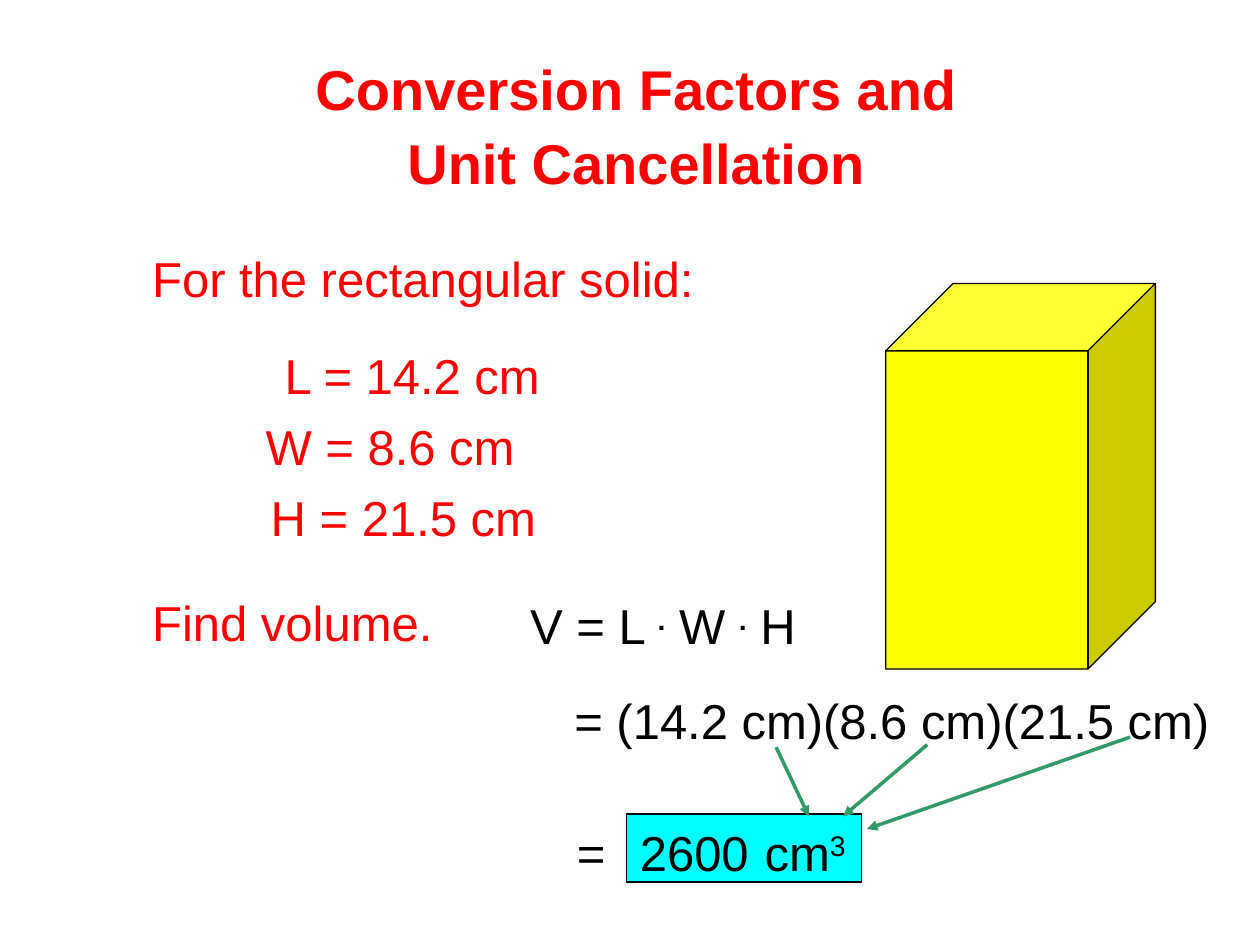
from lxml import etree
from pptx import Presentation
from pptx.dml.color import RGBColor
from pptx.enum import shapes, text
from pptx.oxml.ns import qn
from pptx.util import Inches, Pt

RED = RGBColor(0xFF, 0x00, 0x00)
BLACK = RGBColor(0x00, 0x00, 0x00)
YELLOW = RGBColor(0xFF, 0xFF, 0x00)
CYAN = RGBColor(0x00, 0xFF, 0xFF)
GREEN = RGBColor(0x33, 0x99, 0x66)


def add_text(s, box, paragraphs, color, size=28, bold=False, **fmt):
    """Each paragraph is (indent, runs); a run is (text, is_superscript)."""
    tf = s.shapes.add_textbox(*map(Inches, box)).text_frame
    tf.word_wrap = True
    for i, (indent, runs) in enumerate(paragraphs):
        p = tf.paragraphs[0] if i == 0 else tf.add_paragraph()
        p.space_before = Pt(size / 4)
        for name, value in fmt.items():
            setattr(p, name, value)
        if indent:
            p._p.get_or_add_pPr().set("marL", str(Inches(indent)))
        for words, raised in runs:
            r = p.add_run()
            r.text = words
            values = {"name": "Arial", "size": Pt(size), "bold": bold}
            for name, value in values.items():
                setattr(r.font, name, value)
            r.font.color.rgb = color
            if raised:
                r.font._element.set("baseline", "30000")
                r.font.bold = words == "."


def plain(words, indent=0):
    return indent, [(words, False)]


def add_solid(s, kind, box, fill):
    sp = s.shapes.add_shape(kind, *map(Inches, box))
    sp.shadow.inherit = False
    sp.fill.solid()
    sp.fill.fore_color.rgb = fill
    sp.line.color.rgb = BLACK
    sp.line.width = Pt(0.75)
    return sp


def add_arrow(s, start, end):
    c = s.shapes.add_connector(shapes.MSO_CONNECTOR.STRAIGHT,
                               *map(Inches, start + end))
    c.line.color.rgb = GREEN
    c.line.width = Pt(2)
    etree.SubElement(c.line._get_or_add_ln(), qn("a:tailEnd"), type="triangle")
    etree.SubElement(c._element.spPr, qn("a:effectLst"))


def add_title(s, x, y, w, h):
    lines = [plain("Conversion Factors and"), plain("Unit Cancellation")]
    add_text(s, (x, y, w, h), lines, RED, 32, True,
             alignment=text.PP_ALIGN.CENTER, line_spacing=0.9)


def add_problem(s, x, y, w):
    add_text(s, (x, y, w, 0.75), [plain("For the rectangular solid:")], RED)
    sizes = [plain("L = 14.2 cm", 0.22), plain("W = 8.6 cm", 0.07),
             plain("H = 21.5 cm", 0.11)]
    add_text(s, (x + 0.83, y + 0.77, 4.25, 1.92), sizes, RED)
    add_text(s, (x, y + 2.73, 2.54, 0.67), [plain("Find volume.")], RED)


def add_solution(s, x, y):
    formula = [("V = L ", False), (".", True), (" W ", False),
               (".", True), (" H", False)]
    add_text(s, (x, y, 3.58, 0.7), [(0.38, formula)], BLACK)
    add_text(s, (x + 0.35, y + 0.75, 5.75, 0.7),
             [plain("= (14.2 cm)(8.6 cm)(21.5 cm)", 0.38)], BLACK)
    add_result(s, x + 0.75, y + 1.8)
    for start, end in [((2.43, 1.25), (2.69, 1.8)),
                       ((3.63, 1.23), (2.96, 1.8)),
                       ((5.24, 1.17), (3.15, 1.9))]:
        add_arrow(s, (x + start[0], y + start[1]), (x + end[0], y + end[1]))


def add_result(s, x, y):
    add_solid(s, shapes.MSO_SHAPE.RECTANGLE, (x + 0.49, y - 0.02, 1.87, 0.54),
              CYAN)
    add_text(s, (x, y, 0.5, 0.7), [plain("=")], BLACK)
    add_text(s, (x + 0.5, y, 1.17, 0.7), [plain("2600")], BLACK)
    add_text(s, (x + 1.49, y, 1.17, 0.7),
             [(0, [("cm", False), ("3", True)])], BLACK)


def main():
    prs = Presentation()
    prs.slide_width, prs.slide_height = Inches(10), Inches(7.5)
    s = prs.slides.add_slide(prs.slide_layouts[6])
    add_title(s, 1.34, 0.44, 7.42, 1.25)
    add_problem(s, 1.11, 1.92, 4.6)
    cube = add_solid(s, shapes.MSO_SHAPE.CUBE, (7.03, 2.25, 2.14, 3.06), YELLOW)
    cube.adjustments[0] = 0.25
    add_solution(s, 3.73, 4.68)
    prs.save("out.pptx")


if __name__ == "__main__":
    main()
